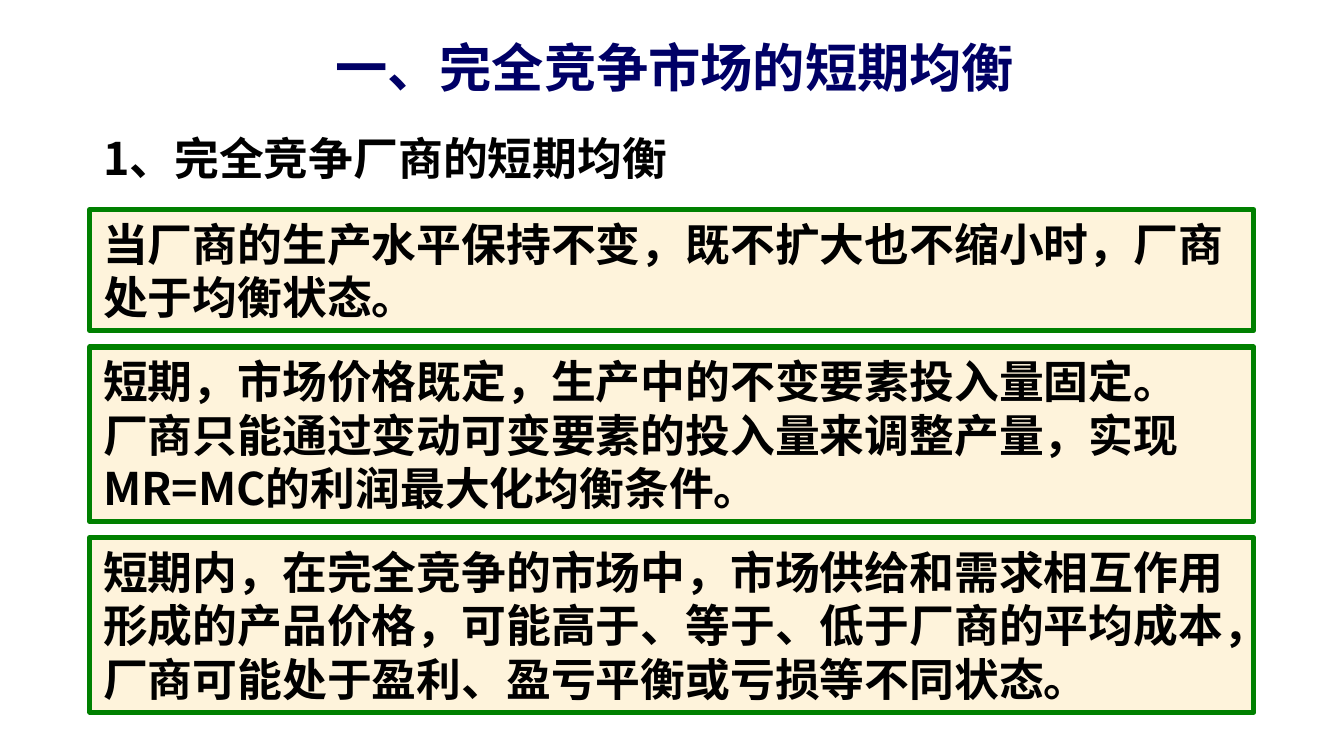
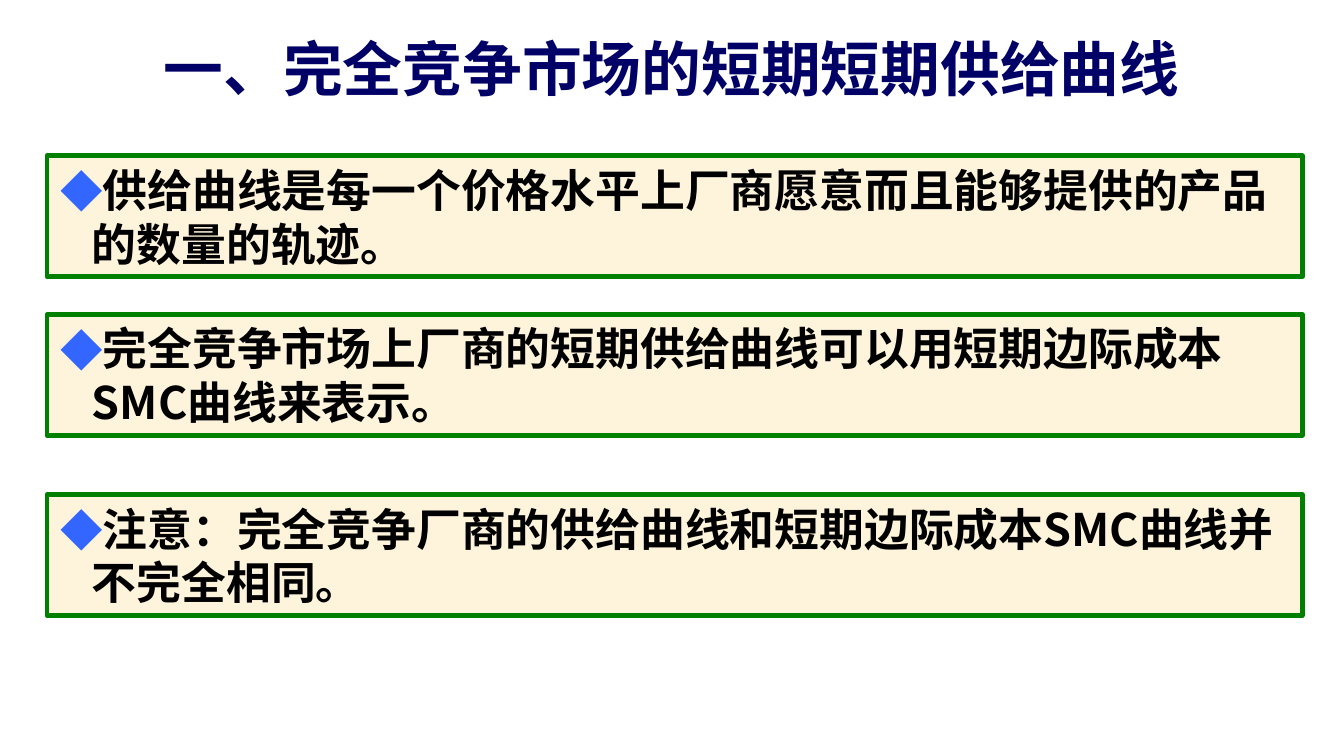
from dataclasses import dataclass

import pptx
import pptx.dml.color
import pptx.enum.shapes
import pptx.enum.text
import pptx.oxml.ns
import pptx.util
from lxml import etree

Pt = pptx.util.Pt
ALIGN = pptx.enum.text.PP_ALIGN
ANCHOR = pptx.enum.text.MSO_ANCHOR

FONT = "Noto Sans CJK SC"
NAVY, BLACK, CREAM, GREEN, BLUE = "000066", "000000", "FEF3DB", "008000", "3366FF"
BODY_SIZE = 24
LINE_RATIO = 1.2
INSET_X, INSET_Y = 7.2, 3.6
BULLET_INDENT = 17


@dataclass(frozen=True)
class Title:
    text: str
    left: float
    top: float
    width: float
    height: float
    size: float


@dataclass(frozen=True)
class Statement:
    top: float
    lines: int
    paragraphs: tuple[str, ...]


@dataclass(frozen=True)
class Panel:
    left: float
    width: float
    border: float
    bulleted: bool = False


def rgb(value: str) -> pptx.dml.color.RGBColor:
    return pptx.dml.color.RGBColor.from_string(value)


def fitted_height(lines: int) -> float:
    """Height of a box that holds this many lines of body text."""
    return lines * BODY_SIZE * LINE_RATIO + 2 * INSET_Y


def add_bullet(p) -> None:
    pPr = p._p.get_or_add_pPr()
    pPr.set("marL", str(Pt(BULLET_INDENT)))
    pPr.set("indent", str(-Pt(BULLET_INDENT)))
    qn = pptx.oxml.ns.qn
    colour = etree.SubElement(pPr, qn("a:buClr"))
    etree.SubElement(colour, qn("a:srgbClr")).set("val", BLUE)
    etree.SubElement(pPr, qn("a:buSzPct")).set("val", "95000")
    etree.SubElement(pPr, qn("a:buFont")).set("typeface", FONT)
    etree.SubElement(pPr, qn("a:buChar")).set("char", "◆")


def write(sp, paragraphs: tuple[str, ...], size: float = BODY_SIZE,
          colour: str = BLACK, align=ALIGN.LEFT, anchor=ANCHOR.MIDDLE,
          bulleted: bool = False) -> None:
    tf = sp.text_frame
    frame_format = {
        "word_wrap": True, "vertical_anchor": anchor,
        "margin_left": Pt(INSET_X), "margin_right": Pt(INSET_X),
        "margin_top": Pt(INSET_Y), "margin_bottom": Pt(INSET_Y),
    }
    for name, value in frame_format.items():
        setattr(tf, name, value)
    for i, text in enumerate(paragraphs):
        p = tf.add_paragraph() if i else tf.paragraphs[0]
        p.alignment = align
        p.line_spacing = Pt(size * LINE_RATIO)
        if bulleted:
            add_bullet(p)
        r = p.add_run()
        r.text = text
        for name, value in {"name": FONT, "size": Pt(size), "bold": True}.items():
            setattr(r.font, name, value)
        r.font.color.rgb = rgb(colour)
        ea = etree.SubElement(r._r.get_or_add_rPr(), pptx.oxml.ns.qn("a:ea"))
        ea.set("typeface", FONT)


def add_title(s, title: Title) -> None:
    sp = s.shapes.add_textbox(Pt(title.left), Pt(title.top),
                              Pt(title.width), Pt(title.height))
    write(sp, (title.text,), title.size, NAVY, ALIGN.CENTER, ANCHOR.TOP)


def add_heading(s, panel: Panel, heading: Statement) -> None:
    sp = s.shapes.add_textbox(Pt(panel.left), Pt(heading.top), Pt(panel.width),
                              Pt(fitted_height(heading.lines)))
    write(sp, heading.paragraphs)


def add_statement(s, panel: Panel, statement: Statement) -> None:
    sp = s.shapes.add_shape(
        pptx.enum.shapes.MSO_SHAPE.RECTANGLE, Pt(panel.left), Pt(statement.top),
        Pt(panel.width), Pt(fitted_height(statement.lines)))
    sp.shadow.inherit = False
    sp.fill.solid()
    sp.fill.fore_color.rgb = rgb(CREAM)
    sp.line.color.rgb = rgb(GREEN)
    sp.line.width = Pt(panel.border)
    write(sp, statement.paragraphs, bulleted=panel.bulleted)


def add_slide(prs, title: Title, panel: Panel, statements: tuple[Statement, ...]):
    s = prs.slides.add_slide(prs.slide_layouts[6])
    add_title(s, title)
    for statement in statements:
        add_statement(s, panel, statement)
    return s


EQUILIBRIUM = (
    Statement(112.3, 2, ("当厂商的生产水平保持不变，既不扩大也不缩小时，厂商处于均衡状态。",)),
    Statement(185.9, 3, (
        "短期，市场价格既定，生产中的不变要素投入量固定。",
        "厂商只能通过变动可变要素的投入量来调整产量，实现MR=MC的利润最大化均衡条件。")),
    Statement(288, 3, (
        "短期内，在完全竞争的市场中，市场供给和需求相互作用形成的产品价格，"
        "可能高于、等于、低于厂商的平均成本，厂商可能处于盈利、盈亏平衡或亏损等不同状态。",)),
)
SUPPLY_CURVE = (
    Statement(83.5, 2, ("供给曲线是每一个价格水平上厂商愿意而且能够提供的产品的数量的轨迹。",)),
    Statement(168.5, 2, ("完全竞争市场上厂商的短期供给曲线可以用短期边际成本SMC曲线来表示。",)),
    Statement(265, 2, ("注意：完全竞争厂商的供给曲线和短期边际成本SMC曲线并不完全相同。",)),
)


def main() -> None:
    prs = pptx.Presentation()
    prs.slide_width, prs.slide_height = Pt(720), Pt(405)

    panel = Panel(48.2, 623.5, 2.75)
    s = add_slide(prs, Title("一、完全竞争市场的短期均衡", 25.2, 15.1, 672.5, 46.8, 28),
                  panel, EQUILIBRIUM)
    add_heading(s, panel, Statement(66.2, 1, ("1、完全竞争厂商的短期均衡",)))

    add_slide(prs, Title("一、完全竞争市场的短期短期供给曲线", 36, 13.7, 648, 51.1, 32),
              Panel(25.2, 672.5, 2.5, bulleted=True), SUPPLY_CURVE)

    prs.save("out.pptx")


if __name__ == "__main__":
    main()
